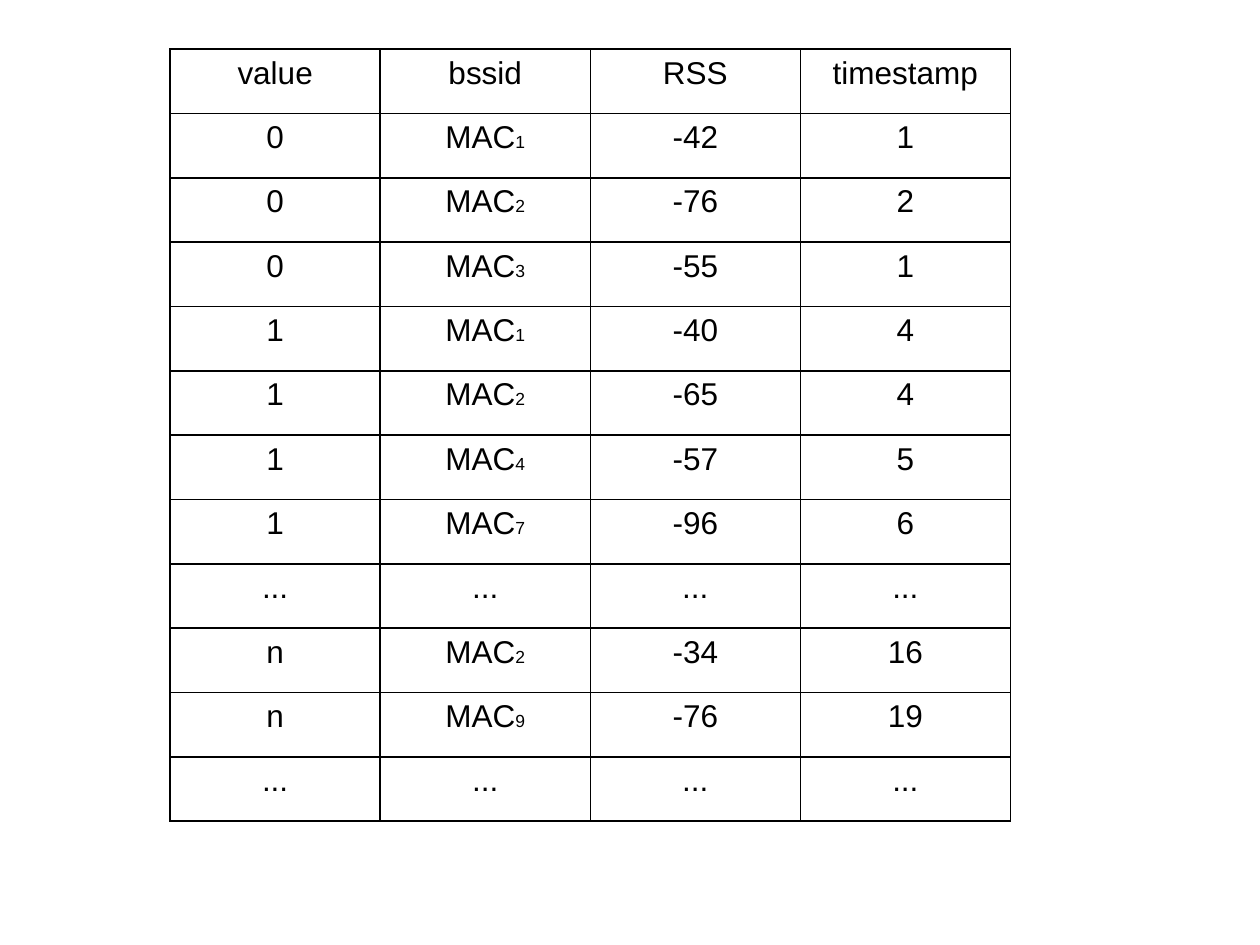
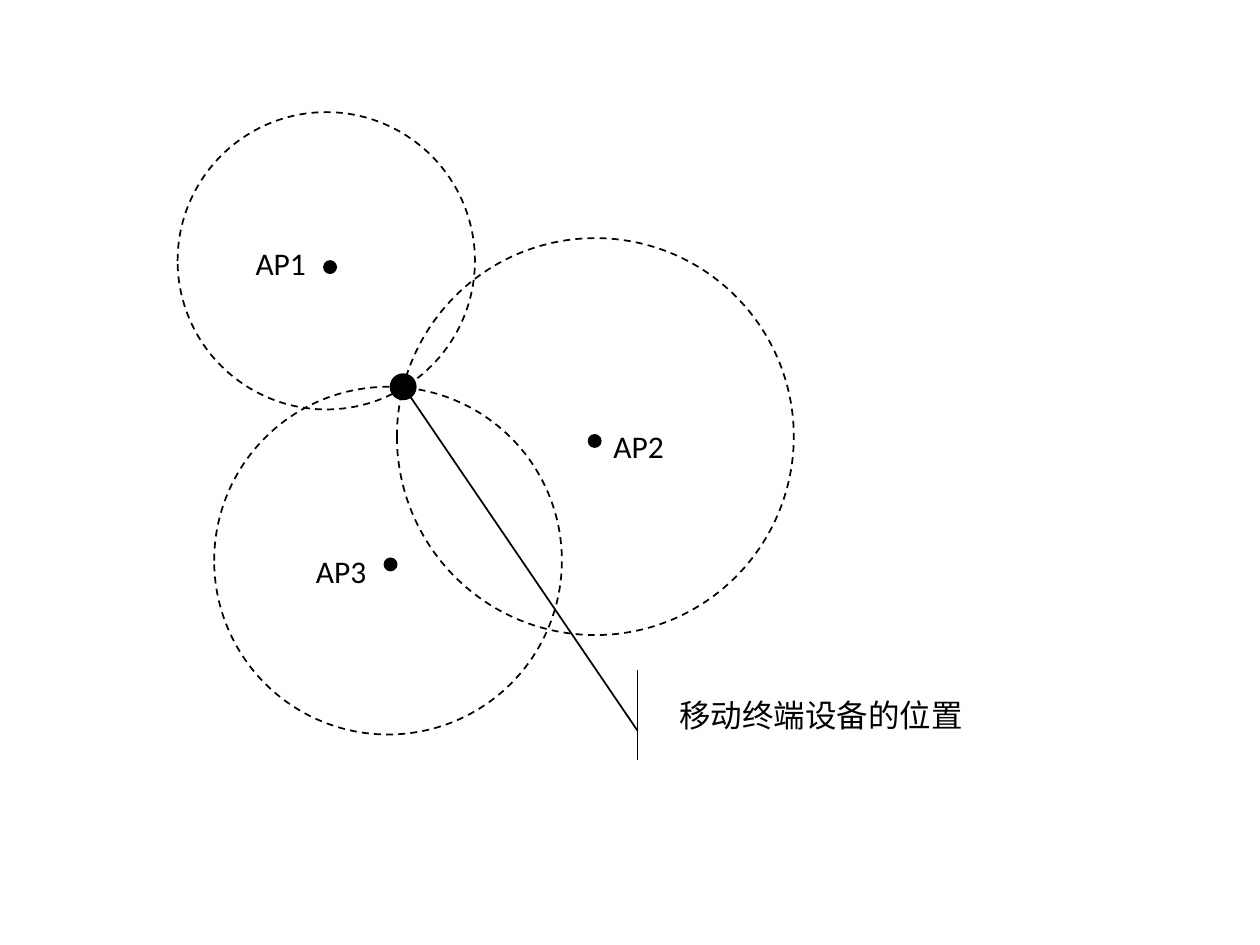
from dataclasses import dataclass

from lxml.etree import SubElement
from pptx import Presentation
from pptx.dml.color import RGBColor
from pptx.enum.dml import MSO_LINE
from pptx.enum.shapes import MSO_SHAPE
from pptx.enum.text import MSO_ANCHOR, MSO_AUTO_SIZE, PP_ALIGN
from pptx.oxml import parse_xml
from pptx.oxml.ns import nsdecls, qn
from pptx.util import Inches, Pt


@dataclass(frozen=True)
class Theme:
    """Colours, fonts, type sizes and line widths of both slides."""
    ink: RGBColor = RGBColor(0, 0, 0)
    table_font: str = "Arial"
    diagram_font: str = "Calibri"
    text_size: float = 18
    subscript_size: float = 10
    line_width: float = 1
    dot_line_width: float = 0.75


@dataclass(frozen=True)
class AccessPoint:
    """An access point with its range circle, dot and label, in inches."""
    name: str
    range_corner: tuple
    range_size: float
    dot_corner: tuple
    label_corner: tuple


THEME = Theme()
DOT_SIZE = 0.1
DEVICE_CORNER, DEVICE_SIZE = (3.1, 2.97), 0.2
LABEL_SIZE = (0.63, 0.4)
CALLOUT_BOX = (5.15, 5.32, 2.73, 0.71)
CALLOUT_ADJUSTMENTS = (0.675, -0.033, -3.119, -0.704)
TABLE_BOX = (1.35, 0.39, 6.67, 6.13)

HEADER = ("value", "bssid", "RSS", "timestamp")
GAP = ("...",) * 4
SCAN_ROWS = (
    HEADER,
    ("0", ("MAC", "1"), "-42", "1"),
    ("0", ("MAC", "2"), "-76", "2"),
    ("0", ("MAC", "3"), "-55", "1"),
    ("1", ("MAC", "1"), "-40", "4"),
    ("1", ("MAC", "2"), "-65", "4"),
    ("1", ("MAC", "4"), "-57", "5"),
    ("1", ("MAC", "7"), "-96", "6"),
    GAP,
    ("n", ("MAC", "2"), "-34", "16"),
    ("n", ("MAC", "9"), "-76", "19"),
    GAP,
)

ACCESS_POINTS = (
    AccessPoint("AP1", (1.41, 0.89), 2.36, (2.57, 2.07), (1.93, 1.89)),
    AccessPoint("AP2", (3.15, 1.89), 3.15, (4.67, 3.45), (4.77, 3.34)),
    AccessPoint("AP3", (1.7, 3.07), 2.76, (3.05, 4.43), (2.41, 4.33)),
)


def write_text(text_frame, text, *, font=THEME.diagram_font, size=THEME.text_size,
               alignment=PP_ALIGN.LEFT, subscript=""):
    """Write one formatted paragraph, with an optional small trailing run."""
    paragraph = text_frame.paragraphs[0]
    paragraph.alignment = alignment
    for content, points in ((text, size), (subscript, THEME.subscript_size)):
        if content:
            run = paragraph.add_run()
            run.text = content
            run.font.name = font
            run.font.size = Pt(points)
            run.font.color.rgb = THEME.ink


def add_outlined_shape(slide, kind, box, *, filled=False, dash=None,
                       line_width=THEME.line_width):
    """Add a preset shape with an ink outline and an optional ink fill."""
    shape = slide.shapes.add_shape(kind, *map(Inches, box))
    shape.shadow.inherit = False
    if filled:
        shape.fill.solid()
        shape.fill.fore_color.rgb = THEME.ink
    else:
        shape.fill.background()
    shape.line.color.rgb = THEME.ink
    shape.line.width = Pt(line_width)
    if dash:
        shape.line.dash_style = dash
    return shape


def add_circle(slide, corner, diameter, **outline):
    """Add a circle from its top left corner and diameter."""
    return add_outlined_shape(slide, MSO_SHAPE.OVAL, (*corner, diameter, diameter), **outline)


def add_label(slide, corner, text):
    """Add a text box for the name of an access point."""
    text_frame = slide.shapes.add_textbox(*map(Inches, (*corner, *LABEL_SIZE))).text_frame
    text_frame.word_wrap = True
    text_frame.auto_size = MSO_AUTO_SIZE.SHAPE_TO_FIT_TEXT
    write_text(text_frame, text)


def add_callout(slide, box, adjustments, text):
    """Add an accent bar callout with a leader line and centred text."""
    callout = add_outlined_shape(slide, MSO_SHAPE.LINE_CALLOUT_1_ACCENT_BAR, box)
    for index, value in enumerate(adjustments):
        callout.adjustments[index] = value
    callout.text_frame.vertical_anchor = MSO_ANCHOR.MIDDLE
    write_text(callout.text_frame, text, alignment=PP_ALIGN.CENTER)


def set_cell_borders(cell):
    """Draw an ink border on all four sides of a table cell."""
    properties = cell._tc.get_or_add_tcPr()
    for index, side in enumerate(("lnL", "lnR", "lnT", "lnB")):
        border = parse_xml(f'<a:{side} {nsdecls("a")} w="{Pt(THEME.line_width)}"/>')
        fill = SubElement(border, qn("a:solidFill"))
        SubElement(fill, qn("a:srgbClr"), val=str(THEME.ink))
        properties.insert(index, border)


def add_grid_table(slide, box, rows):
    """Add a plain bordered table with equal columns and equal rows."""
    left, top, width, height = map(Inches, box)
    table = slide.shapes.add_table(len(rows), len(rows[0]), left, top, width, height).table
    table.first_row = table.horz_banding = False
    for row_index, row in enumerate(rows):
        for column_index, content in enumerate(row):
            cell = table.cell(row_index, column_index)
            cell.fill.background()
            set_cell_borders(cell)
            text, subscript = (content, "") if isinstance(content, str) else content
            write_text(cell.text_frame, text, subscript=subscript,
                       font=THEME.table_font, alignment=PP_ALIGN.CENTER)


def add_blank_slide(presentation):
    """Add a slide with the blank layout."""
    return presentation.slides.add_slide(presentation.slide_layouts[6])


def build_scan_slide(presentation):
    """Build the table of signal strength readings."""
    add_grid_table(add_blank_slide(presentation), TABLE_BOX, SCAN_ROWS)


def build_position_slide(presentation):
    """Build the diagram that locates the device by three ranges."""
    slide = add_blank_slide(presentation)
    for point in ACCESS_POINTS:
        add_circle(slide, point.range_corner, point.range_size, dash=MSO_LINE.DASH)
    for point in ACCESS_POINTS:
        add_circle(slide, point.dot_corner, DOT_SIZE, filled=True,
                   line_width=THEME.dot_line_width)
    add_circle(slide, DEVICE_CORNER, DEVICE_SIZE, filled=True)
    for point in ACCESS_POINTS:
        add_label(slide, point.label_corner, point.name)
    add_callout(slide, CALLOUT_BOX, CALLOUT_ADJUSTMENTS, "移动终端设备的位置")


def main():
    """Build and save the presentation."""
    presentation = Presentation()
    presentation.slide_width = Inches(10)
    presentation.slide_height = Inches(7.5)
    build_scan_slide(presentation)
    build_position_slide(presentation)
    presentation.save("out.pptx")


if __name__ == "__main__":
    main()
